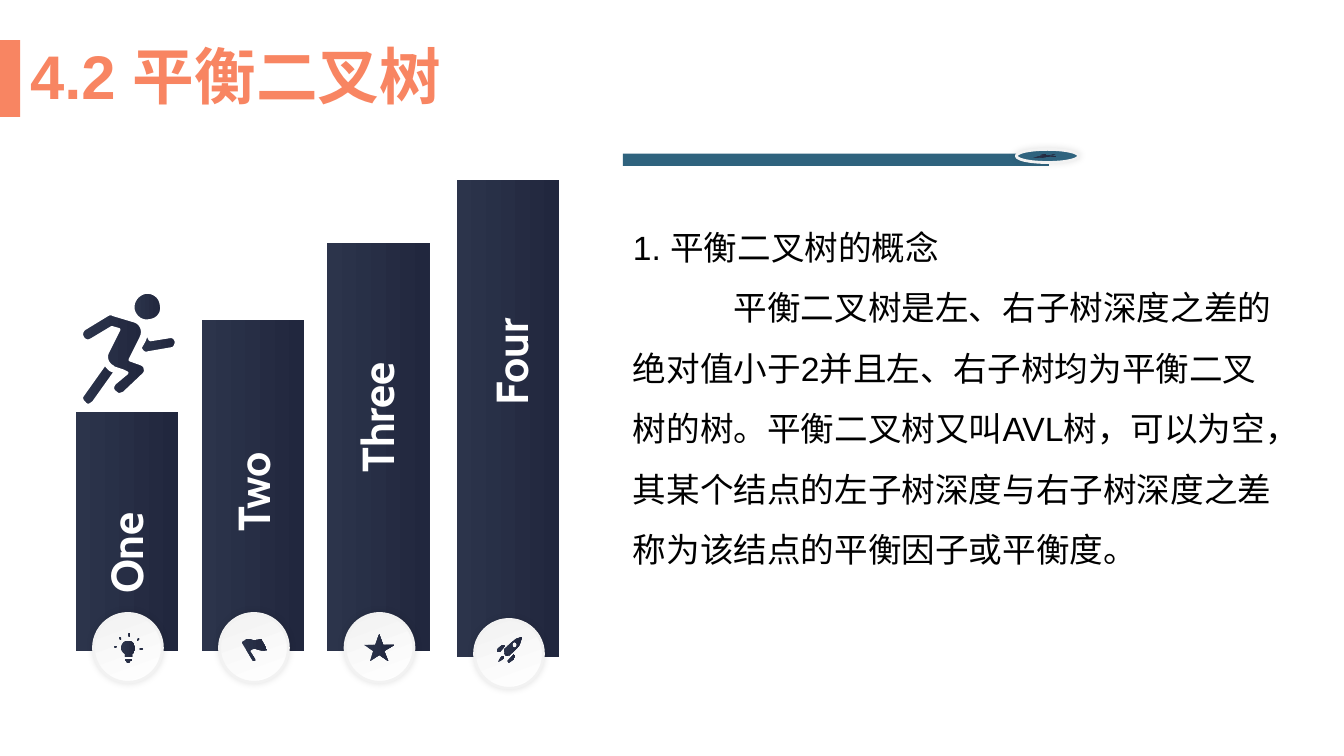
from dataclasses import dataclass

import pptx
import pptx.dml.color
import pptx.enum.shapes
import pptx.enum.text
import pptx.oxml
import pptx.oxml.ns
import pptx.util
from pptx.util import Pt

RECT = pptx.enum.shapes.MSO_SHAPE.RECTANGLE
OVAL = pptx.enum.shapes.MSO_SHAPE.OVAL


@dataclass(frozen=True)
class Theme:
    coral: str = "F88562"
    teal: str = "2F637E"
    navy: tuple = ("2C344B", "21273E")
    pearl: tuple = ("FFFFFF", "F2F2F2")
    rim: str = "F2F2F2"
    white: str = "FFFFFF"
    ink: str = "000000"
    text_font: str = "Arial"
    label_font: str = "Cabin"
    title_size: int = 44
    label_size: int = 32
    body_size: int = 24


THEME = Theme()
GRID = 0.72  # points per icon grid unit

# An icon is a list of parts, a part a list of contours. Two numbers end a
# straight line, six numbers give a Bezier curve.
BULB = [
    [[(7, 5), (6, 4), (5, 4), (5, 5), (6, 7), (7, 7)]],
    [[(2, 13), (1, 13), (0, 14), (1, 15), (2, 15), (3, 14)]],
    [[(28, 15), (26, 15), (25, 16), (26, 17), (28, 17), (29, 16)]],
    [[(25, 5), (24, 5), (23, 7), (23, 8), (24, 8), (25, 7)]],
    [[(15, 4), (16, 3), (16, 1), (15, 0), (14, 1), (14, 3)]],
    [[(14, 8), (10, 8, 7, 11, 7, 15), (7, 18, 9, 20, 11, 21), (11, 24), (18, 24),
      (18, 21), (20, 20, 21, 18, 21, 15), (21, 11, 18, 8, 14, 8)]],
    [[(11, 28), (12, 28), (12, 29, 13, 30, 14, 30), (15, 30, 16, 29, 16, 28),
      (18, 28), (18, 26), (11, 26)]],
]
FLAG = [
    [[(19, 1), (19, 1, 14, 3, 10, 2), (6, 0, 4, 1, 2, 3), (1, 3), (0, 5), (11, 23),
      (13, 23), (13, 21), (8, 13), (10, 11, 12, 10, 17, 12), (21, 13, 25, 12, 25, 12)]],
]
STAR = [
    [[(15, 0), (19, 11), (30, 11), (20, 17), (24, 27), (15, 21), (6, 27), (9, 17),
      (0, 11), (11, 11)]],
]
ROCKET = [
    [[(19, 2), (18, 3, 15, 5, 14, 6), (7, 12), (7, 13, 7, 14, 7, 15), (11, 18),
      (11, 19, 12, 19, 13, 18), (20, 11), (21, 10, 23, 8, 23, 6), (25, 0)],
     [(19, 10), (18, 11, 17, 11, 16, 10), (15, 9, 15, 7, 16, 6),
      (17, 5, 18, 5, 19, 6), (20, 7, 20, 9, 19, 10)]],
    [[(3, 15), (8, 9), (7, 8, 5, 8, 4, 9), (0, 12), (0, 13, 0, 14, 0, 15)]],
    [[(11, 23), (10, 23, 10, 25, 11, 25), (11, 26, 12, 26, 13, 25), (17, 22),
      (18, 20, 18, 18, 17, 17)]],
    [[(7, 15), (7, 17), (9, 19), (10, 19), (11, 18)]],
    [[(1, 25), (4, 24, 9, 20, 7, 19), (6, 17, 2, 22, 1, 25)]],
]
RUNNER = [
    [[(80, 13), (82, 21, 77, 28, 69, 29), (61, 31, 54, 26, 52, 18),
      (51, 10, 56, 3, 64, 1), (72, 0, 79, 5, 80, 13)]],
    [[(88, 45), (69, 48), (63, 36), (65, 41, 65, 45, 63, 49), (59, 56), (60, 58),
      (62, 61, 64, 62, 67, 61), (90, 57), (93, 57, 95, 53, 95, 50),
      (94, 46, 91, 44, 88, 45)]],
    [[(60, 72), (49, 68), (60, 46), (63, 40, 61, 33, 55, 30), (52, 29), (32, 23),
      (31, 22, 29, 22, 27, 23), (4, 37), (1, 39, 0, 43, 2, 46), (3, 48, 6, 50, 9, 49),
      (11, 48), (31, 36), (38, 38), (27, 60), (24, 65, 26, 72, 32, 75), (33, 76),
      (42, 79), (46, 81), (34, 91), (31, 94, 31, 98, 34, 100),
      (36, 102, 38, 103, 40, 102), (43, 101), (62, 83), (64, 81, 65, 79, 64, 77),
      (64, 74, 62, 73, 60, 72)]],
    [[(24, 72), (2, 103), (0, 105, 1, 109, 4, 111), (5, 113, 7, 113, 9, 113),
      (10, 112, 12, 111, 13, 110), (35, 79), (33, 79, 32, 79, 30, 78),
      (28, 77, 26, 74, 24, 72)]],
]

# word, left, top, bottom, label centre x and y, label length, indent, icon, icon offset
COLUMNS = [
    ("One", 54, 294.5, 465, 90, 378, 106.5, 0, BULB, (-10, -10.8)),
    ("Two", 144, 228.5, 465, 180.7, 347.8, 106.5, 14.4, FLAG, (-8.6, -7.2)),
    ("Three", 233.7, 173.5, 465, 269, 294.5, 129, 14.4, STAR, (-11, -10)),
    ("Four", 326.2, 128.7, 469.3, 365, 265, 106.5, 21.6, ROCKET, (-8.6, -12.2)),
]


def rgb(code):
    return pptx.dml.color.RGBColor.from_string(code)


def paint(shape, fill, line=None, width=2, angle=0):
    """Fill with one colour, or with a gradient for a pair of colours."""
    shape.shadow.inherit = False
    if isinstance(fill, tuple):
        shape.fill.gradient()
        shape.fill.gradient_angle = angle
        for stop, code in zip(shape.fill.gradient_stops, fill):
            stop.color.rgb = rgb(code)
    else:
        shape.fill.solid()
        shape.fill.fore_color.rgb = rgb(fill)
    if line:
        shape.line.color.rgb = rgb(line)
        shape.line.width = Pt(width)
    else:
        shape.line.fill.background()


def block(slide, kind, left, top, width, height, fill, **style):
    shape = slide.shapes.add_shape(kind, Pt(left), Pt(top), Pt(width), Pt(height))
    paint(shape, fill, **style)
    return shape


def badge(slide, left, top, width, height, fill):
    """Ellipse with a pale rim and a soft glow-like shadow."""
    disc = block(slide, OVAL, left, top, width, height, fill, line=THEME.rim, angle=110)
    effects = disc._element.spPr.find(pptx.oxml.ns.qn("a:effectLst"))
    effects.append(pptx.oxml.parse_xml(
        f'<a:outerShdw {pptx.oxml.ns.nsdecls("a")} blurRad="{Pt(5)}" dist="0" '
        'algn="ctr" rotWithShape="0"><a:srgbClr val="000000"><a:alpha val="11000"/>'
        '</a:srgbClr></a:outerShdw>'))


def flatten(contour, steps=8):
    """Turn the curves of a contour into short straight lines."""
    points = []
    for x1, y1, *rest in contour:
        if not rest:
            points.append((x1, y1))
            continue
        x0, y0 = points[-1]
        x2, y2, x3, y3 = rest
        for step in range(1, steps + 1):
            t = step / steps
            u = 1 - t
            points.append(tuple(
                u**3 * a + 3 * u * u * t * b + 3 * u * t * t * c + t**3 * d
                for a, b, c, d in ((x0, x1, x2, x3), (y0, y1, y2, y3))))
    return points


def draw_icon(slide, icon, left, top, scale=(GRID, GRID), transposed=False, line=None):
    group = slide.shapes.add_group_shape()
    for part in icon:
        builder = None
        for contour in part:
            points = flatten(contour)
            if transposed:
                points = [(y, x) for x, y in points]
            points = [(Pt(left + x * scale[0]), Pt(top + y * scale[1])) for x, y in points]
            if builder is None:
                builder = group.shapes.build_freeform(*points[0])
            else:
                builder.move_to(*points[0])
            builder.add_line_segments(points[1:], close=True)
        paint(builder.convert_to_shape(), THEME.navy, line=line, width=2.25)


def write(slide, box, lines, font, size, color, bold=False, spacing=None):
    area = slide.shapes.add_textbox(*map(Pt, box))
    frame = area.text_frame
    frame.word_wrap = True
    frame.text = "\n".join(lines)
    for paragraph in frame.paragraphs:
        paragraph.line_spacing = spacing
        for run in paragraph.runs:
            run.font.name = font
            run.font.size = Pt(size)
            run.font.bold = bold
            run.font.color.rgb = rgb(color)
    return area


def heading(slide, left, top, width, height):
    block(slide, RECT, left, top, 14.4, height, THEME.coral)
    title = write(slide, (left + 14.4, top + 0.7, width, height), ["4.2 平衡二叉树"],
                  THEME.text_font, THEME.title_size, THEME.coral, True, 0.9)
    title.text_frame.vertical_anchor = pptx.enum.text.MSO_ANCHOR.MIDDLE


def column(slide, left, top, width, bottom, icon, offset):
    block(slide, RECT, left, top, width, bottom - top, THEME.navy)
    centre_x, centre_y = left + width / 2 + 0.8, bottom - 2.2
    badge(slide, centre_x - 24.6, centre_y - 24.6, 49.2, 49.2, THEME.pearl)
    draw_icon(slide, icon, centre_x + offset[0], centre_y + offset[1])


def column_label(slide, word, centre_x, centre_y, length, indent):
    label = write(slide, (centre_x - length / 2, centre_y - 23, length, 46), [word],
                  THEME.label_font, THEME.label_size, THEME.white, True)
    label.rotation = 270
    label.text_frame.margin_left = Pt(7.2 + indent)


def staircase(slide):
    for word, left, top, bottom, x, y, length, indent, icon, offset in COLUMNS:
        column(slide, left, top, 73.2, bottom, icon, offset)
        column_label(slide, word, x, y, length, indent)
    first_left, first_top = COLUMNS[0][1:3]
    draw_icon(slide, RUNNER, first_left + 3.6, first_top - 86.4, line=THEME.white)


def rule_with_rocket(slide, left, top, width, height):
    block(slide, RECT, left, top, width, height, THEME.teal)
    end = left + width
    badge(slide, end - 23.4, top - 3.1, 44.6, 9.4, THEME.teal)
    draw_icon(slide, ROCKET, end - 11.9, top + 0.4, (0.66, 0.12), transposed=True)


def explanation(slide, *box):
    passage = write(slide, box, [
        "1. 平衡二叉树的概念",
        "\t平衡二叉树是左、右子树深度之差的绝对值小于2并且左、右子树均为平衡二叉树的树。"
        "平衡二叉树又叫AVL树，可以为空，其某个结点的左子树深度与右子树深度之差称为该结点的平衡因子或平衡度。",
    ], THEME.text_font, THEME.body_size, THEME.ink, spacing=1.5)
    definition = passage.text_frame.paragraphs[1]
    definition._p.get_or_add_pPr().append(pptx.oxml.parse_xml(
        f'<a:tabLst {pptx.oxml.ns.nsdecls("a")}><a:tab pos="{Pt(72)}" algn="l"/></a:tabLst>'))


def main():
    deck = pptx.Presentation()
    deck.slide_width, deck.slide_height = Pt(960), Pt(540)
    slide = deck.slides.add_slide(deck.slide_layouts[6])
    heading(slide, 0, 28.6, 931.7, 55)
    explanation(slide, 445, 144, 483, 268.6)
    staircase(slide)
    rule_with_rocket(slide, 444.9, 109.8, 304.4, 8.8)
    deck.save("out.pptx")


if __name__ == "__main__":
    main()
